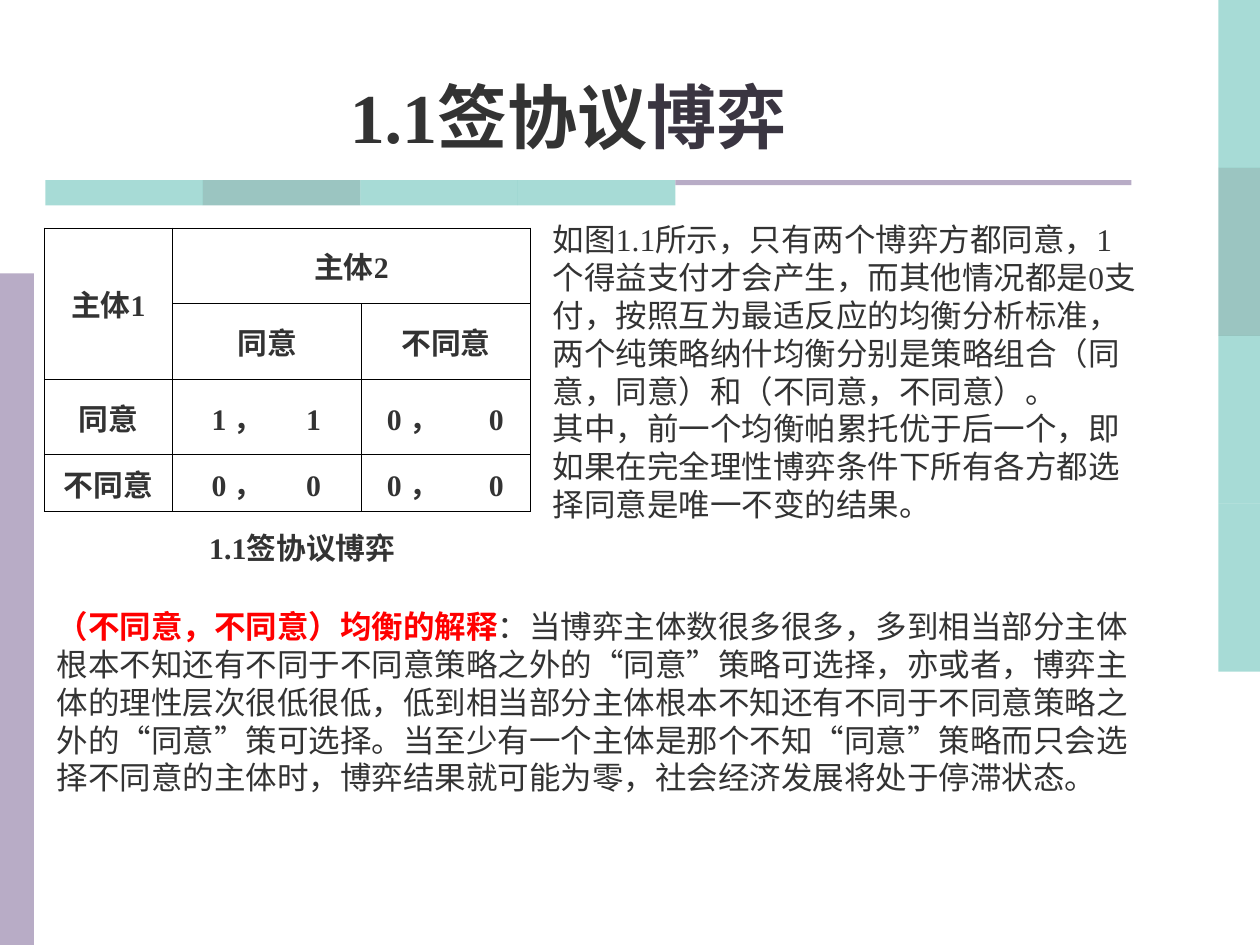
from lxml import etree
from pptx import Presentation
from pptx.dml.color import RGBColor
from pptx.enum import lang, shapes, text
from pptx.oxml import ns
from pptx.util import Inches, Pt

COLORS = {
    "teal": "51B9AF",
    "deep": "398D85",
    "mauve": "B8ACC6",
    "ink": "333333",
    "plum": "3A3541",
    "red": "FF0000",
    "black": "000000",
}
SERIF = "Times New Roman"
CENTER = text.PP_ALIGN.CENTER
MIDDLE = text.MSO_ANCHOR.MIDDLE


def sub(parent, tag, **attrs):
    return etree.SubElement(parent, ns.qn(tag), attrs)


def style(run, size, color="ink", bold=False, face=SERIF):
    font = run.font
    font.size = Pt(size)
    font.name = face
    font.bold = bold
    font.color.rgb = RGBColor.from_string(COLORS[color])
    font.language_id = lang.MSO_LANGUAGE_ID.SIMPLIFIED_CHINESE


def add_bar(slide, box, color, alpha=None):
    bar = slide.shapes.add_shape(shapes.MSO_SHAPE.RECTANGLE, *map(Inches, box))
    bar.shadow.inherit = False
    bar.fill.solid()
    bar.fill.fore_color.rgb = RGBColor.from_string(COLORS[color])
    bar.line.fill.background()
    if alpha:
        tint = bar.fill._xPr.find(".//" + ns.qn("a:srgbClr"))
        sub(tint, "a:alpha", val=str(alpha * 1000))


def add_strip(slide, box, across):
    left, top, width, height = box
    for i in range(4):
        if across:
            part = (left + i * width / 4, top, width / 4, height)
        else:
            part = (left, top + i * height / 4, width, height / 4)
        add_bar(slide, part, "deep" if i == 1 else "teal", 50)


def add_frame(slide):
    add_strip(slide, (9.67, 0, 0.33, 5.33), False)
    add_bar(slide, (0, 2.17, 0.27, 5.33), "mauve")
    add_strip(slide, (0.36, 1.43, 5, 0.2), True)
    add_bar(slide, (5.36, 1.43, 3.62, 0.04), "mauve")


def add_text(slide, box, paras, size, align=None, anchor=text.MSO_ANCHOR.TOP):
    frame = slide.shapes.add_textbox(*map(Inches, box)).text_frame
    frame.word_wrap = True
    frame.vertical_anchor = anchor
    for i, runs in enumerate(paras):
        para = frame.add_paragraph() if i else frame.paragraphs[0]
        para.alignment = align
        for words, look in runs:
            run = para.add_run()
            run.text = words
            style(run, size, **look)


def set_cell(cell, words):
    props = cell._tc.get_or_add_tcPr()
    for side in ("a:lnL", "a:lnR", "a:lnT", "a:lnB"):
        line = sub(props, side, w=str(Pt(0.45)))
        sub(sub(line, "a:solidFill"), "a:srgbClr", val=COLORS["black"])
    cell.fill.background()
    cell.vertical_anchor = MIDDLE
    para = cell.text_frame.paragraphs[0]
    para.alignment = CENTER
    para.text = words
    for run in para.runs:
        style(run, 17, bold=True)


def set_pay(cell, inset, stop):
    cell.margin_left = Inches(inset)
    para = cell.text_frame.paragraphs[0]
    para.alignment = text.PP_ALIGN.LEFT
    tabs = sub(para._p.get_or_add_pPr(), "a:tabLst")
    sub(tabs, "a:tab", pos=str(Inches(stop)), algn="l")


def add_payoffs(slide, box):
    rows = [
        ["主体1", "主体2", ""],
        ["", "同意", "不同意"],
        ["同意", "1 ，\t1", "0 ，\t0"],
        ["不同意", "0 ，\t0", "0 ，\t0"],
    ]
    table = slide.shapes.add_table(4, 3, *map(Inches, box)).table
    table.first_row = table.horz_banding = False
    for col, width in zip(table.columns, (1.02, 1.5, 1.34)):
        col.width = Inches(width)
    for row, height in zip(table.rows, (0.6, 0.6, 0.6, 0.45)):
        row.height = Inches(height)
    for r, row in enumerate(rows):
        for c, words in enumerate(row):
            set_cell(table.cell(r, c), words)
    for r in (2, 3):
        set_pay(table.cell(r, 1), 0.31, 0.75)
        set_pay(table.cell(r, 2), 0.2, 0.81)
    table.cell(0, 0).merge(table.cell(1, 0))
    table.cell(0, 1).merge(table.cell(0, 2))


def main():
    deck = Presentation()
    deck.slide_width = Inches(10)
    deck.slide_height = Inches(7.5)
    slide = deck.slides.add_slide(deck.slide_layouts[6])
    add_frame(slide)
    bold = {"bold": True}
    sans = {"face": "DejaVu Sans"}
    add_text(slide, (0.59, 4.15, 3.62, 0.39), [[("1.1签协议博弈", bold)]],
             17, CENTER, MIDDLE)
    add_payoffs(slide, (0.35, 1.81, 3.86, 2.25))
    add_text(slide, (4.29, 1.7, 4.88, 2.5), [
        [("如图1.1所示，只有两个博弈方都同意，1个得益支付才会产生，而其他情况都是0支付，"
          "按照互为最适反应的均衡分析标准，两个纯策略纳什均衡分别是策略组合"
          "（同意，同意）和（不同意，不同意）。", {})],
        [("其中，前一个均衡帕累托优于后一个，即如果在完全理性博弈条件下所有各方都选择同意"
          "是唯一不变的结果。", {})],
    ], 18)
    add_text(slide, (0.35, 4.77, 8.82, 1.6), [[
        ("（不同意，不同意）均衡的解释", {"color": "red", **bold, **sans}),
        ("：当博弈主体数很多很多，多到相当部分主体根本不知还有不同于不同意策略之外的"
         "“同意”策略可选择，亦或者，博弈主体的理性层次很低很低，低到相当部分主体根本"
         "不知还有不同于不同意策略之外的“同意”策可选择。当至少有一个主体是那个不知"
         "“同意”策略而只会选择不同意的主体时，博弈结果就可能为零，社会经济发展将处于"
         "停滞状态。", sans),
    ]], 18)
    add_text(slide, (0, 0.44, 9.02, 0.86), [[
        ("1.1签协议", bold), ("博弈", {"color": "plum", **bold}),
    ]], 40, CENTER, text.MSO_ANCHOR.BOTTOM)
    deck.save("out.pptx")


if __name__ == "__main__":
    main()
